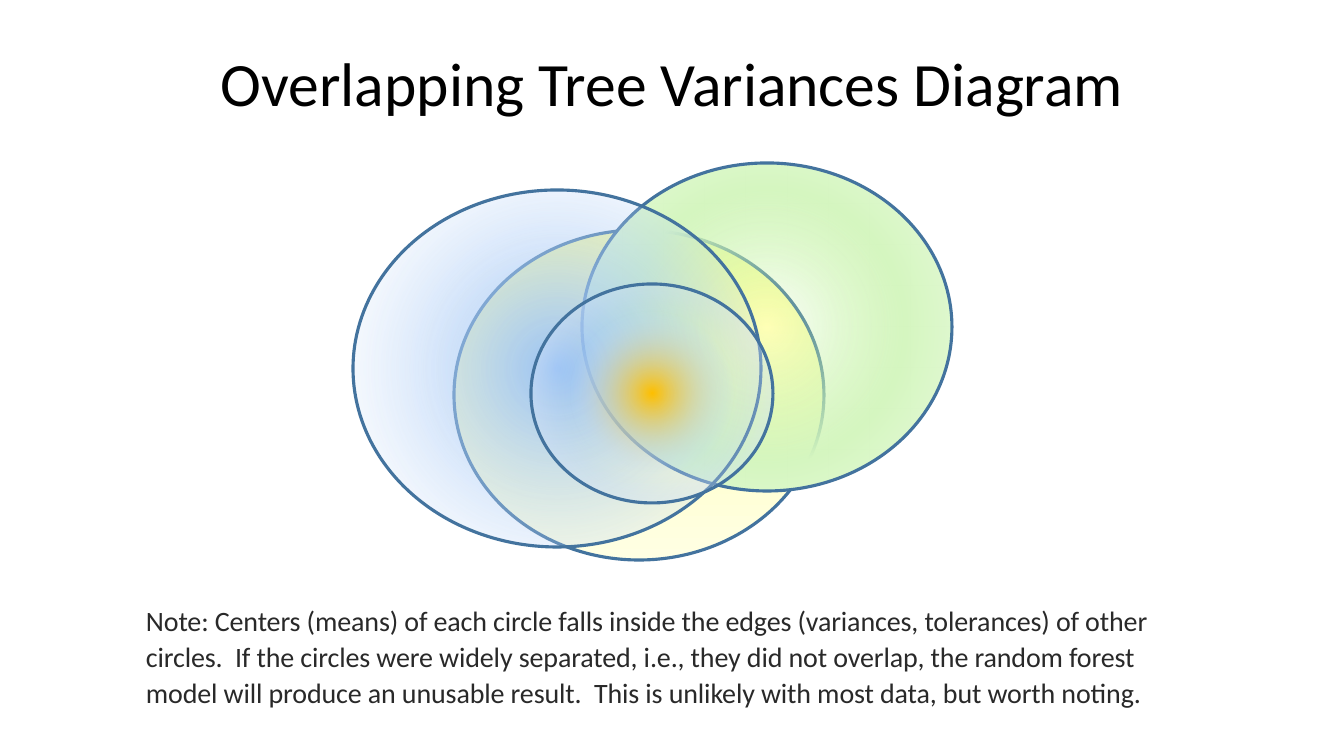
from pptx import Presentation
from pptx.util import Pt
from pptx.dml.color import RGBColor
from pptx.enum.shapes import MSO_SHAPE
from pptx.enum.text import PP_ALIGN, MSO_ANCHOR
from pptx.oxml import parse_xml
from pptx.oxml.ns import nsdecls

THEME = {"font": "Calibri", "title": 44, "note": 20, "ink": "000000",
         "grey": "292929", "edge": "43739E", "line": 2.25}
SCALE = 914400 / 100.8
WIDE, HIGH = 1344, 756

TEXTS = [
    {"text": "Overlapping Tree Variances Diagram",
     "box": (93, 40, 1159, 93), "size": "title", "color": "ink", "track": 0,
     "frame": {"word_wrap": True, "vertical_anchor": MSO_ANCHOR.MIDDLE},
     "para": {"alignment": PP_ALIGN.CENTER, "line_spacing": 0.9}},
    {"text": "Note: Centers (means) of each circle falls inside the edges "
             "(variances, tolerances) of other circles.  If the circles were "
             "widely separated, i.e., they did not overlap, the random forest "
             "model will produce an unusable result.  This is unlikely with "
             "most data, but worth noting.",
     "box": (136, 596, 1057, 119), "size": "note", "color": "grey", "track": -10,
     "frame": {"word_wrap": True, "vertical_anchor": MSO_ANCHOR.TOP},
     "para": {"alignment": PP_ALIGN.LEFT, "line_spacing": 1.07,
              "space_after": Pt(8)}},
]

LINEAR = '<a:lin ang="5400000" scaled="0"/>'
RADIAL = ('<a:path path="circle"><a:fillToRect l="50000" t="50000" '
          'r="50000" b="50000"/></a:path>')
CIRCLES = [
    ((454, 230, 370, 330), LINEAR,
     [(0, "FFFFA0", 100), (50, "FFFFC5", 100), (100, "FFFFE3", 100)]),
    ((582, 163, 370, 328), RADIAL,
     [(0, "BEF297", 0), (56, "D5F6C0", 100), (100, "EAFAE0", 100)]),
    ((353, 190, 408, 357), RADIAL,
     [(0, "9AC3F5", 100), (89, "C2D8F8", 0), (100, "E1EBFB", 100)]),
    ((531, 284, 242, 219), RADIAL,
     [(0, "FFC000", 100), (50, "C2D8F8", 0), (100, "E1EBFB", 100)]),
]


def place(box):
    return [round(n * SCALE) for n in box]


def shade(stops, mode):
    marks = "".join(
        f'<a:gs pos="{pos * 1000}"><a:srgbClr val="{color}">'
        f'<a:alpha val="{alpha * 1000}"/></a:srgbClr></a:gs>'
        for pos, color, alpha in stops)
    return parse_xml(f'<a:gradFill {nsdecls("a")} rotWithShape="1">'
                     f'<a:gsLst>{marks}</a:gsLst>{mode}</a:gradFill>')


def style(target, values):
    for name, value in values.items():
        setattr(target, name, value)


def write(slide, item):
    frame = slide.shapes.add_textbox(*place(item["box"])).text_frame
    style(frame, item["frame"])
    para = frame.paragraphs[0]
    style(para, item["para"])
    run = para.add_run()
    run.text = item["text"]
    style(run.font, {"name": THEME["font"], "size": Pt(THEME[item["size"]])})
    run.font.color.rgb = RGBColor.from_string(THEME[item["color"]])
    if item["track"]:
        run.font._element.set("spc", str(item["track"]))


def circle(slide, box, mode, stops):
    shape = slide.shapes.add_shape(MSO_SHAPE.OVAL, *place(box))
    shape._element.spPr.append(shade(stops, mode))
    shape.line.color.rgb = RGBColor.from_string(THEME["edge"])
    shape.line.width = Pt(THEME["line"])
    shape.shadow.inherit = False


deck = Presentation()
style(deck, dict(zip(("slide_width", "slide_height"), place((WIDE, HIGH)))))
slide = deck.slides.add_slide(deck.slide_layouts[6])
for item in TEXTS:
    write(slide, item)
for box, mode, stops in CIRCLES:
    circle(slide, box, mode, stops)
deck.save("out.pptx")
